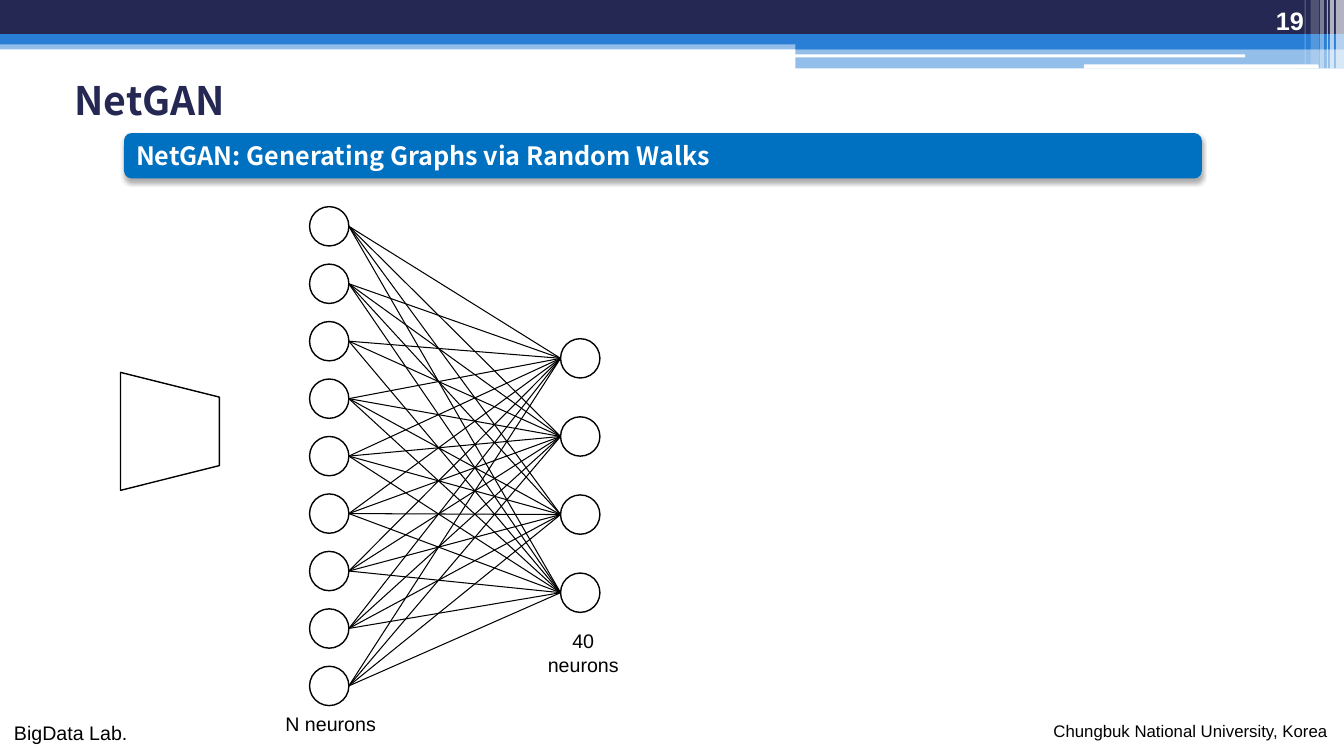
from dataclasses import dataclass
from itertools import product

from lxml import etree
from pptx import Presentation
from pptx import util as u
from pptx.dml import color
from pptx.enum import shapes, text
from pptx.oxml import ns

NAVY, BLUE, WHITE, BLACK = "242852", "297FD5", "FFFFFF", "000000"
SANS, KOREAN = "Arial", "Noto Sans CJK KR"
KIND = shapes.MSO_SHAPE
ALIGN = text.PP_ALIGN
ANCHOR = text.MSO_ANCHOR


@dataclass
class Band:
    left: float
    top: float
    width: float
    height: float
    fill: str
    alpha: int = 100
    kind: int = KIND.RECTANGLE


@dataclass
class Label:
    left: float
    top: float
    width: float
    height: float
    lines: list[str]
    size: int
    font: str = SANS
    hue: str = BLACK
    bold: bool = False
    align: int = ALIGN.LEFT
    anchor: int = ANCHOR.TOP
    wrap: bool = False


@dataclass
class Layer:
    left: float
    top: float
    pitch: float
    count: int


BANDS = [
    Band(0, 0.4, 13.33, 0.09, BLUE, 50),
    Band(0, 0, 13.33, 0.34, NAVY),
    Band(0, 0.34, 13.33, 0.1, BLUE),
    Band(7.89, 0.39, 5.44, 0.1, BLUE),
    Band(7.89, 0.48, 5.44, 0.2, BLUE, 50),
    Band(7.88, 0.54, 4.47, 0.03, WHITE, kind=KIND.ROUNDED_RECTANGLE),
    Band(10.75, 0.64, 2.33, 0.04, WHITE, kind=KIND.ROUNDED_RECTANGLE),
    Band(13.25, 0, 0.08, 0.68, WHITE, 65),
    Band(13.19, 0, 0.04, 0.68, WHITE, 65),
    Band(13.16, 0, 0.01, 0.68, WHITE, 60),
    Band(13.09, 0, 0.04, 0.68, WHITE, 40),
    Band(13, 0, 0.08, 0.64, WHITE, 20),
    Band(12.94, 0, 0.01, 0.64, WHITE, 30),
]
TITLE = Label(0.52, 0.15, 12.05, 1.17, ["NetGAN"], 28, KOREAN, NAVY, True,
              anchor=ANCHOR.MIDDLE, wrap=True)
BANNER = Label(1.23, 1.32, 10.69, 0.45, ["NetGAN: Generating Graphs via Random Walks"],
               18, KOREAN, WHITE, True, anchor=ANCHOR.MIDDLE, wrap=True)
LABELS = [
    Label(0.04, 7.1, 1.33, 0.34, ["BigData Lab."], 14),
    Label(10.35, 7.1, 2.94, 0.3, ["Chungbuk National University, Korea"], 12),
    Label(11.92, 0, 1.11, 0.4, ["19"], 18, SANS, WHITE, True, ALIGN.RIGHT,
          ANCHOR.BOTTOM, True),
    Label(5.33, 6.19, 0.91, 0.57, ["40", "neurons"], 14, align=ALIGN.CENTER),
    Label(2.73, 7.01, 1.1, 0.34, ["N neurons"], 14, align=ALIGN.CENTER),
]
NEURON = 0.39
INPUTS = Layer(3.07, 2.05, 0.57, 9)
OUTPUTS = Layer(5.56, 3.36, 0.775, 4)


def rgb(code: str) -> color.RGBColor:
    return color.RGBColor.from_string(code)


def add_figure(slide, kind: int, box: tuple, fill: str | None = None, line: str | None = None):
    figure = slide.shapes.add_shape(kind, *map(u.Inches, box))
    figure.shadow.inherit = False
    if fill:
        figure.fill.solid()
        figure.fill.fore_color.rgb = rgb(fill)
    else:
        figure.fill.background()
    if line:
        figure.line.color.rgb = rgb(line)
        figure.line.width = u.Pt(1)
    else:
        figure.line.fill.background()
    return figure


def add_band(slide, band: Band) -> None:
    strip = add_figure(slide, band.kind, (band.left, band.top, band.width, band.height), band.fill)
    if band.alpha < 100:
        tint = strip.fill._xPr.find(".//" + ns.qn("a:srgbClr"))
        etree.SubElement(tint, ns.qn("a:alpha"), val=str(band.alpha * 1000))


def write_label(frame, label: Label) -> None:
    frame_format = {
        "word_wrap": label.wrap,
        "vertical_anchor": label.anchor,
        "auto_size": text.MSO_AUTO_SIZE.NONE if label.wrap
        else text.MSO_AUTO_SIZE.SHAPE_TO_FIT_TEXT,
    }
    for name, value in frame_format.items():
        setattr(frame, name, value)
    font_format = {"size": u.Pt(label.size), "name": label.font, "bold": label.bold}
    for index, line in enumerate(label.lines):
        paragraph = frame.paragraphs[0] if index == 0 else frame.add_paragraph()
        paragraph.alignment = label.align
        run = paragraph.add_run()
        run.text = line
        for name, value in font_format.items():
            setattr(run.font, name, value)
        run.font.color.rgb = rgb(label.hue)


def add_label(slide, label: Label):
    box = slide.shapes.add_textbox(*map(u.Inches, (label.left, label.top, label.width, label.height)))
    write_label(box.text_frame, label)
    return box


def add_banner(slide, label: Label) -> None:
    banner = add_figure(slide, KIND.ROUNDED_RECTANGLE,
                        (label.left, label.top, label.width, label.height), "0070C0")
    write_label(banner.text_frame, label)
    effects = banner._element.spPr.find(ns.qn("a:effectLst"))
    drop = etree.SubElement(effects, ns.qn("a:outerShdw"), blurRad=str(u.Pt(3.5)),
                            dist=str(u.Pt(2.2)), dir="5400000", rotWithShape="0")
    shade = etree.SubElement(drop, ns.qn("a:srgbClr"), val=BLACK)
    etree.SubElement(shade, ns.qn("a:alpha"), val="32000")


def add_layer(slide, layer: Layer) -> list[float]:
    """Draws a column of neurons and returns their middle heights."""
    tops = [layer.top + layer.pitch * row for row in range(layer.count)]
    for top in tops:
        add_figure(slide, KIND.OVAL, (layer.left, top, NEURON, NEURON), WHITE, BLACK)
    return [top + NEURON / 2 for top in tops]


def add_synapse(slide, start: tuple, end: tuple) -> None:
    synapse = slide.shapes.add_connector(shapes.MSO_CONNECTOR.STRAIGHT,
                                         *map(u.Inches, (*start, *end)))
    synapse.line.color.rgb = rgb(BLACK)
    synapse.line.width = u.Pt(0.75)
    etree.SubElement(synapse._element.spPr, ns.qn("a:effectLst"))


def main() -> None:
    deck = Presentation()
    deck.slide_width, deck.slide_height = u.Inches(13.33), u.Inches(7.5)
    slide = deck.slides.add_slide(deck.slide_layouts[6])

    # Header bands, title and banner
    for band in BANDS:
        add_band(slide, band)
    heading = add_label(slide, TITLE).text_frame.paragraphs[0]
    heading.line_spacing = 2.1
    indent = {"marL": u.Inches(0.12), "indent": 0}
    for name, value in indent.items():
        heading._p.get_or_add_pPr().set(name, str(value))
    add_banner(slide, BANNER)

    # Encoder block
    encoder = add_figure(slide, KIND.TRAPEZOID, (1.1, 3.79, 1.17, 0.98), line=BLACK)
    encoder.rotation = 90

    # Fully connected layers
    input_heights = add_layer(slide, INPUTS)
    output_heights = add_layer(slide, OUTPUTS)
    for output_y, input_y in product(output_heights, input_heights):
        if (output_y, input_y) != (output_heights[2], input_heights[2]):  # the one absent link
            add_synapse(slide, (OUTPUTS.left, output_y), (INPUTS.left + NEURON, input_y))

    # Captions, footer and page number
    for label in LABELS:
        add_label(slide, label)

    deck.save("out.pptx")


if __name__ == "__main__":
    main()
